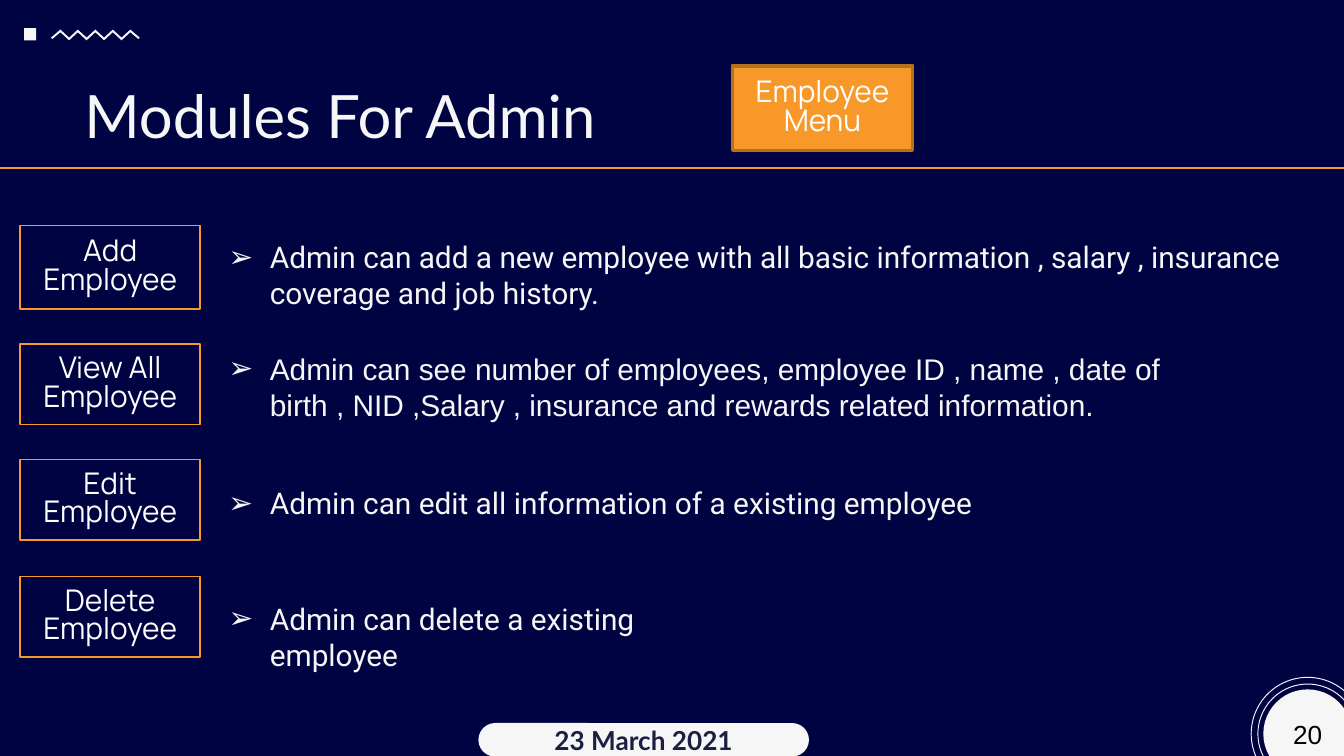
from lxml import etree
from pptx import Presentation
from pptx.dml.color import RGBColor
from pptx.enum import shapes, text
from pptx.oxml import ns
from pptx.util import Inches, Pt

NAVY = RGBColor(0x00, 0x03, 0x41)
INK = RGBColor(0x1B, 0x1F, 0x42)
ORANGE = RGBColor(0xF8, 0x98, 0x29)
BROWN = RGBColor(0xB7, 0x70, 0x1E)
PALE = RGBColor(0xF6, 0xF6, 0xF6)
WHITE = RGBColor(0xFF, 0xFF, 0xFF)
BLACK = RGBColor(0x00, 0x00, 0x00)

TITLE = "Modules For Admin"
MENU = "Employee Menu"
DATE = "23 March 2021"
PAGE = "20"
# label, label top, label height, description, description box, font
MODULES = [
    ("Add Employee", 1.68, 0.62,
     "Admin can add a new employee with all basic information , salary , "
     "insurance coverage and job history.", (1.73, 8.05, 0.64), "Roboto"),
    ("View All Employee", 2.56, 0.6,
     "Admin can see number of employees, employee ID , name , date of birth , "
     "NID ,Salary , insurance and rewards related information.",
     (2.56, 7.72, 0.64), "Arial"),
    ("Edit Employee", 3.42, 0.6,
     "Admin can edit all information of a existing employee",
     (3.56, 5.9, 0.37), "Roboto"),
    ("Delete Employee", 4.29, 0.6,
     "Admin can delete a existing employee", (4.42, 3.95, 0.64), "Roboto"),
]
LABEL_LEFT, LABEL_WIDTH = 0.15, 1.34
DESCRIPTION_LEFT, INDENT = 1.6, 0.31
BADGE_CENTER = (9.73, 5.46)
RING_RADII = (0.42, 0.37)
DISC_RADIUS = 0.33

LABEL_FONT = {"size": Pt(16), "name": "Manrope"}

prs = Presentation()
prs.slide_width = Inches(10)
prs.slide_height = prs.slide_width * 9 // 16
slide = prs.slides.add_slide(prs.slide_layouts[6])
slide.background.fill.solid()
slide.background.fill.fore_color.rgb = NAVY


def paint(shape, fill=None, line=None, width=0.75):
    shape.shadow.inherit = False
    if fill is None:
        shape.fill.background()
    else:
        shape.fill.solid()
        shape.fill.fore_color.rgb = fill
    if line is None:
        shape.line.fill.background()
    else:
        shape.line.color.rgb = line
        shape.line.width = Pt(width)


def add_preset(preset, box, **style):
    shape = slide.shapes.add_shape(preset, *map(Inches, box))
    paint(shape, **style)
    return shape


def write(shape, words, font, color, inset=0.1, wrap=True,
          anchor=text.MSO_ANCHOR.MIDDLE, **paragraph_format):
    frame = shape.text_frame
    frame_format = {"word_wrap": wrap, "vertical_anchor": anchor,
                    "margin_top": Inches(inset), "margin_bottom": Inches(inset),
                    "margin_left": Inches(0.1), "margin_right": Inches(0.1)}
    for name, value in frame_format.items():
        setattr(frame, name, value)
    paragraph = frame.paragraphs[0]
    for name, value in paragraph_format.items():
        setattr(paragraph, name, value)
    run = paragraph.add_run()
    run.text = words
    for name, value in font.items():
        setattr(run.font, name, value)
    run.font.color.rgb = color
    return paragraph


def add_bullet(paragraph, mark, color):
    props = paragraph._p.get_or_add_pPr()
    props.set("marL", str(Inches(INDENT)))
    props.set("indent", str(-Inches(INDENT)))
    bullet_color = etree.SubElement(props, ns.qn("a:buClr"))
    etree.SubElement(bullet_color, ns.qn("a:srgbClr"), val=str(color))
    etree.SubElement(props, ns.qn("a:buFont"), typeface="Arial")
    etree.SubElement(props, ns.qn("a:buChar"), char=mark)


def add_label(words, box, **style):
    label = add_preset(shapes.MSO_SHAPE.RECTANGLE, box, **style)
    write(label, words, LABEL_FONT, WHITE,
          alignment=text.PP_ALIGN.CENTER, line_spacing=0.8)


def add_circle(radius, **style):
    x, y = BADGE_CENTER
    box = (x - radius, y - radius, 2 * radius, 2 * radius)
    return add_preset(shapes.MSO_SHAPE.OVAL, box, **style)


# Header
add_preset(shapes.MSO_SHAPE.RECTANGLE, (0.18, 0.21, 0.09, 0.09), fill=PALE)

turns = [(0.45 + 0.065 * i, 0.06 * (i % 2)) for i in range(9)]
upper = [(0.38, 0.28)] + [(x, 0.22 + dip) for x, dip in turns] + [(1.04, 0.28)]
lower = [(0.39, 0.29)] + [(x, 0.24 + dip) for x, dip in turns] + [(1.03, 0.29)]
outline = [(Inches(x), Inches(y)) for x, y in upper + lower[::-1]]
builder = slide.shapes.build_freeform(*outline[0])
builder.add_line_segments(outline[1:], close=True)
paint(builder.convert_to_shape(), fill=PALE)

rule = slide.shapes.add_connector(
    shapes.MSO_CONNECTOR.STRAIGHT, *map(Inches, (-0.01, 1.25, 10.01, 1.25)))
rule.line.color.rgb = ORANGE
rule.line.width = Pt(1.5)
etree.SubElement(rule._element.spPr, ns.qn("a:effectLst"))

title = slide.shapes.add_textbox(*map(Inches, (0.53, 0.49, 4.77, 0.63)))
write(title, TITLE, {"size": Pt(32), "name": "Lato"}, PALE,
      anchor=text.MSO_ANCHOR.TOP)
add_label(MENU, (5.45, 0.49, LABEL_WIDTH, 0.63),
          fill=ORANGE, line=BROWN, width=2)

# Modules
for name, top, height, description, (text_top, *text_size), font in MODULES:
    add_label(name, (LABEL_LEFT, top, LABEL_WIDTH, height), line=ORANGE)
    box = slide.shapes.add_textbox(
        *map(Inches, (DESCRIPTION_LEFT, text_top, *text_size)))
    paragraph = write(box, description, {"size": Pt(16), "name": font}, PALE,
                      inset=0.05, anchor=text.MSO_ANCHOR.TOP)
    add_bullet(paragraph, "➢", PALE)

# Footer
for radius in RING_RADII:
    add_circle(radius, line=PALE, width=0.5)
disc = add_circle(DISC_RADIUS, fill=PALE)
write(disc, PAGE, {"size": Pt(14), "name": "Arial"}, BLACK, wrap=False,
      alignment=text.PP_ALIGN.CENTER)

date = add_preset(shapes.MSO_SHAPE.ROUNDED_RECTANGLE,
                  (3.56, 5.38, 2.46, 0.25), fill=PALE)
date.adjustments[0] = 0.5
write(date, DATE, {"size": Pt(14), "name": "Lato", "bold": True}, INK,
      alignment=text.PP_ALIGN.CENTER)

prs.save("out.pptx")
